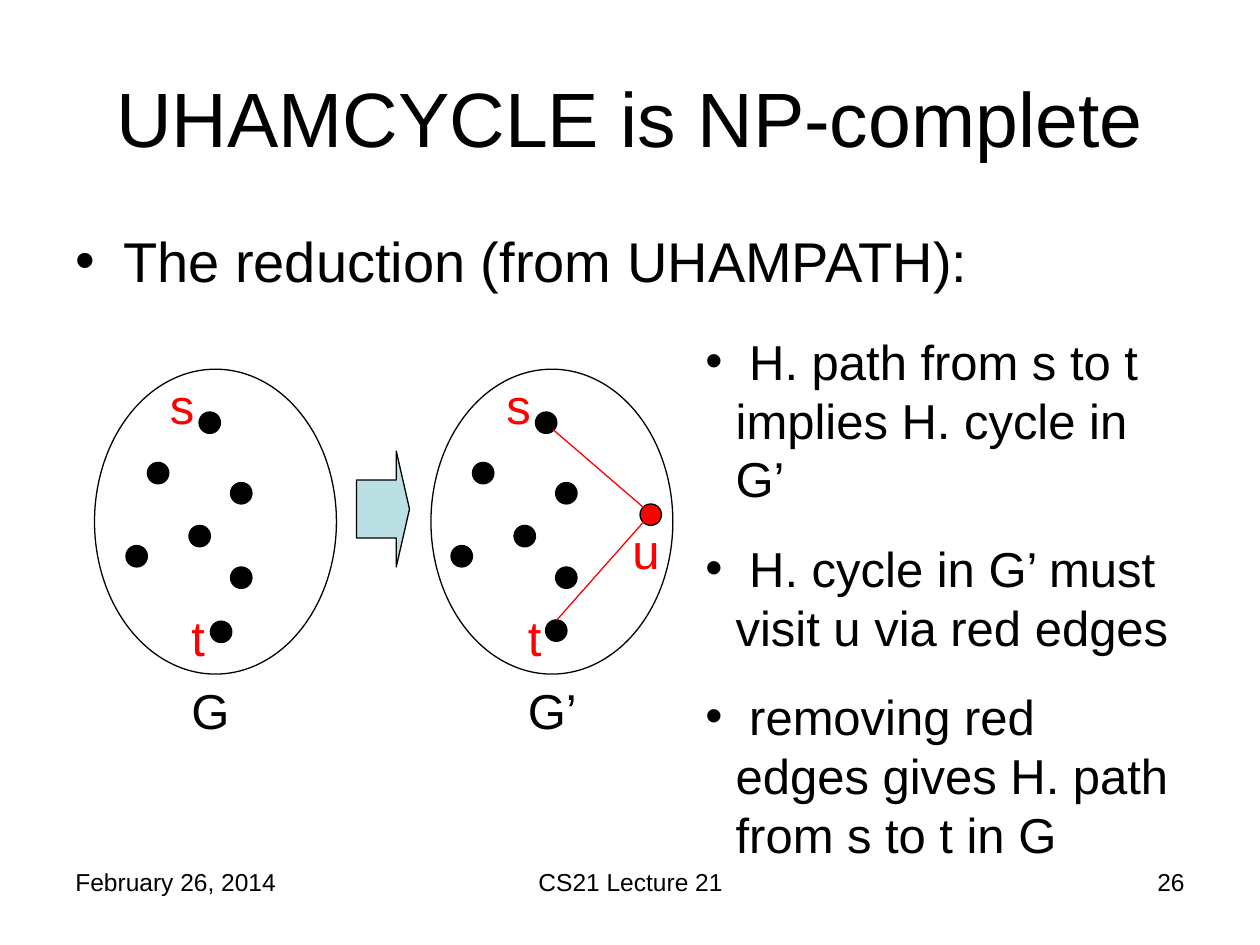
from lxml import etree
from pptx import Presentation
from pptx.dml.color import RGBColor
from pptx.enum.shapes import MSO_CONNECTOR, MSO_SHAPE
from pptx.enum.text import MSO_ANCHOR, PP_ALIGN
from pptx.oxml.ns import qn
from pptx.util import Inches, Pt

COLORS = {"black": "000000", "red": "FF0000", "arrow": "BBE0E3"}
FONT = "Arial"

TITLE = "UHAMCYCLE is NP-complete"
REDUCTION = ["The reduction (from UHAMPATH):"]
ARGUMENTS = [
    " H. path from s to t implies H. cycle in G’",
    " H. cycle in G’ must visit u via red edges",
    " removing red edges gives H. path from s to t in G",
]
FOOTERS = [
    ("February 26, 2014", 0.5, 2.33, PP_ALIGN.LEFT),
    ("CS21 Lecture 21", 3.42, 3.17, PP_ALIGN.CENTER),
    ("26", 7.17, 2.33, PP_ALIGN.RIGHT),
]
GRAPHS = [
    {"name": "G", "left": 0.75, "inner_left": 1, "s": (1.58, 3.27), "t": (1.67, 4.93)},
    {"name": "G’", "left": 3.42, "inner_left": 3.58, "s": (4.25, 3.27), "t": (4.33, 4.92)},
]
INNER_NODES = [(0.17, 3.67), (0.83, 3.83), (0.5, 4.17), (0, 4.33), (0.83, 4.5)]
U_NODE = (5.08, 4)
RED_EDGES = [((4.39, 3.41), (5.11, 4.03)), ((5.11, 4.14), (4.42, 4.92))]
NODE_SIZE = 0.17
LABEL_HEIGHT = 0.57


def rgb(color):
    return RGBColor.from_string(COLORS[color])


def add_bullet(paragraph, indent):
    properties = paragraph._p.get_or_add_pPr()
    properties.set("marL", str(Inches(indent)))
    properties.set("indent", str(-Inches(indent)))
    bullet_font = etree.SubElement(properties, qn("a:buFont"))
    bullet_font.set("typeface", FONT)
    etree.SubElement(properties, qn("a:buChar")).set("char", "•")


def add_text(slide, lines, box, size, color="black", align=PP_ALIGN.LEFT,
             anchor=MSO_ANCHOR.TOP, indent=None, gap=0):
    frame = slide.shapes.add_textbox(*map(Inches, box)).text_frame
    frame.word_wrap = True
    frame.vertical_anchor = anchor
    frame.text = "\n".join(lines)
    for index, paragraph in enumerate(frame.paragraphs):
        if indent:
            add_bullet(paragraph, indent)
        if index:
            paragraph.space_before = Pt(gap)
        paragraph.alignment = align
        for run in paragraph.runs:
            run.font.name = FONT
            run.font.size = Pt(size)
            run.font.color.rgb = rgb(color)


def add_figure(slide, preset, box, fill=None):
    figure = slide.shapes.add_shape(preset, *map(Inches, box))
    figure.shadow.inherit = False
    if fill:
        figure.fill.solid()
        figure.fill.fore_color.rgb = rgb(fill)
    else:
        figure.fill.background()
    figure.line.color.rgb = rgb("black")
    figure.line.width = Pt(0.75)
    return figure


def add_node(slide, position, fill="black"):
    add_figure(slide, MSO_SHAPE.OVAL, (*position, NODE_SIZE, NODE_SIZE), fill)


def add_label(slide, label, left, top, color="red", width=0.42):
    add_text(slide, [label], (left, top, width, LABEL_HEIGHT), 28, color)


def add_edge(slide, start, end):
    edge = slide.shapes.add_connector(MSO_CONNECTOR.STRAIGHT, *map(Inches, start + end))
    edge.line.color.rgb = rgb("red")
    edge.line.width = Pt(0.75)
    etree.SubElement(edge._element.spPr, qn("a:effectLst"))


def add_graph(slide, graph):
    left = graph["left"]
    add_figure(slide, MSO_SHAPE.OVAL, (left, 2.93, 1.92, 2.42))
    for x, y in INNER_NODES:
        add_node(slide, (graph["inner_left"] + x, y))
    add_node(slide, graph["s"])
    add_node(slide, graph["t"])
    add_label(slide, "s", left + 0.5, 2.93)
    add_label(slide, "t", left + 0.67, 4.77)
    add_label(slide, graph["name"], left + 0.67, 5.35, "black", 0.75)


def main():
    presentation = Presentation()
    presentation.slide_width = Inches(10)
    presentation.slide_height = Inches(7.5)
    slide = presentation.slides.add_slide(presentation.slide_layouts[6])

    for footer, left, width, align in FOOTERS:
        add_text(slide, [footer], (left, 6.83, width, 0.52), 14, align=align)
    add_text(slide, [TITLE], (0.5, 0.3, 9, 1.25), 44,
             align=PP_ALIGN.CENTER, anchor=MSO_ANCHOR.MIDDLE)
    add_text(slide, REDUCTION, (0.5, 1.75, 9, 4.95), 32, indent=0.38)

    for graph in GRAPHS:
        add_graph(slide, graph)
    add_node(slide, U_NODE, "red")
    for start, end in RED_EDGES:
        add_edge(slide, start, end)

    arrow = add_figure(slide, MSO_SHAPE.RIGHT_ARROW, (2.83, 3.58, 0.42, 0.92), "arrow")
    arrow.adjustments[0] = 0.5
    arrow.adjustments[1] = 0.25

    add_text(slide, ARGUMENTS, (5.5, 2.58, 3.92, 3.86), 28, indent=0.24, gap=17.5)
    add_label(slide, "u", 4.92, 4.08)

    presentation.save("out.pptx")


if __name__ == "__main__":
    main()
